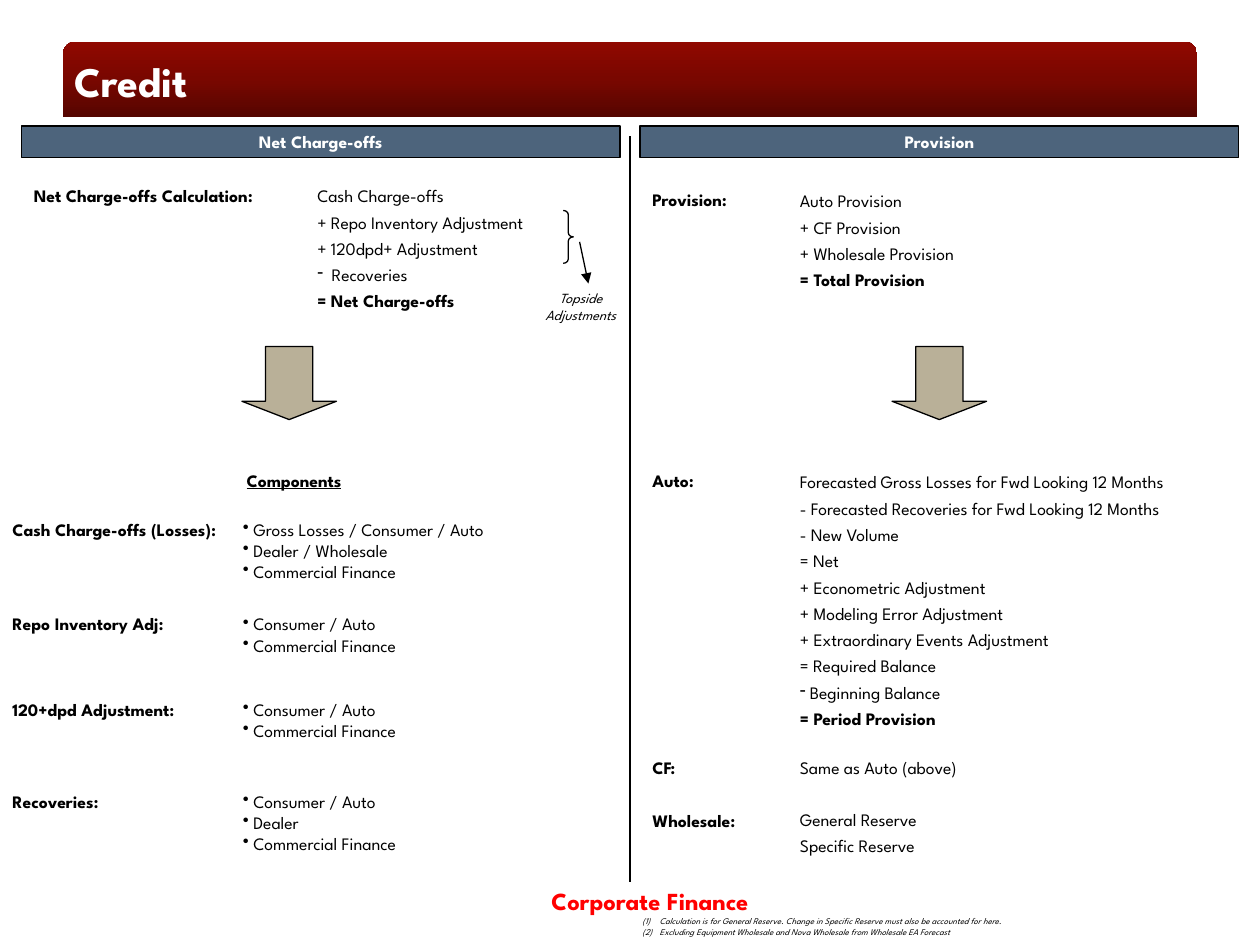
from copy import deepcopy
from dataclasses import dataclass

from lxml import etree
from pptx import Presentation
from pptx.dml.color import RGBColor
from pptx.enum import shapes, text
from pptx.oxml.ns import qn
from pptx.util import Inches, Pt


@dataclass(frozen=True)
class Theme:
    font: str = "League Spartan"
    ink: str = "000000"
    white: str = "FFFFFF"
    red: str = "FF0000"
    header: str = "4D647C"
    arrow: str = "B9B098"
    banner: tuple = ((0, "550500"), (0.5, "790700"), (1, "900800"))
    title: int = 24
    footer: int = 14
    body: int = 10
    remark: int = 8
    note: int = 5
    line: float = 0.75


LABEL = {"bold": True}
BULLET = {"bullet": "•"}
DASH = {"bullet": "-"}
LINE_SPACING = 1.25


class SlideBuilder:
    def __init__(self, slide, theme):
        self.s = slide
        self.theme = theme

    def add_lines(self, tf, lines, align=None, spacing=None, bullet=None,
                  hanging=0, color=None, **font):
        """Fill a frame; a line is a string or a (string, own formats) pair."""
        for i, line in enumerate(lines):
            words, own = line if isinstance(line, tuple) else (line, {})
            p = tf.paragraphs[0] if i == 0 else tf.add_paragraph()
            for name, value in {"alignment": align, "line_spacing": spacing}.items():
                setattr(p, name, value)
            mark = own.get("bullet", bullet)
            if mark:
                self.add_bullet(p, mark, hanging)
            r = p.add_run()
            r.text = words
            formats = {"name": self.theme.font, "size": Pt(self.theme.body), **font,
                       **{k: v for k, v in own.items() if k != "bullet"}}
            for name, value in formats.items():
                setattr(r.font, name, value)
            r.font.color.rgb = RGBColor.from_string(color or self.theme.ink)

    @staticmethod
    def add_bullet(p, mark, hanging):
        pPr = p._p.get_or_add_pPr()
        pPr.set("marL", str(Inches(hanging)))
        pPr.set("indent", str(-Inches(hanging)))
        if mark == "(1)":
            etree.SubElement(pPr, qn("a:buAutoNum"), type="arabicParenBoth")
        else:
            etree.SubElement(pPr, qn("a:buChar"), char=mark)

    def text(self, x, y, w, h, lines, wrap=False, grow=True,
             anchor=text.MSO_ANCHOR.TOP, **style):
        tf = self.s.shapes.add_textbox(*map(Inches, (x, y, w, h))).text_frame
        fit = text.MSO_AUTO_SIZE
        formats = {"word_wrap": wrap, "vertical_anchor": anchor,
                   "auto_size": fit.SHAPE_TO_FIT_TEXT if grow else fit.NONE}
        for name, value in formats.items():
            setattr(tf, name, value)
        self.add_lines(tf, lines, **style)

    def shape(self, kind, x, y, w, h, fill=None, outline=True, adjust=()):
        sp = self.s.shapes.add_shape(kind, *map(Inches, (x, y, w, h)))
        sp.shadow.inherit = False
        for i, value in enumerate(adjust):
            sp.adjustments[i] = value
        if fill:
            sp.fill.solid()
            sp.fill.fore_color.rgb = RGBColor.from_string(fill)
        else:
            sp.fill.background()
        if outline:
            self.stroke(sp)
        else:
            sp.line.fill.background()
        return sp

    def stroke(self, sp):
        sp.line.color.rgb = RGBColor.from_string(self.theme.ink)
        sp.line.width = Pt(self.theme.line)

    def banner(self, x, y, w, h):
        sp = self.shape(shapes.MSO_SHAPE.ROUND_2_SAME_RECTANGLE, x, y, w, h,
                        outline=False)
        sp.fill.gradient()
        sp.fill.gradient_angle = 90
        first = sp._element.spPr.find(".//" + qn("a:gs"))
        first.addnext(deepcopy(first))
        for stop, (position, color) in zip(sp.fill.gradient_stops, self.theme.banner):
            stop.position = position
            stop.color.rgb = RGBColor.from_string(color)

    def header(self, x, y, w, h, title):
        sp = self.shape(shapes.MSO_SHAPE.RECTANGLE, x, y, w, h, self.theme.header)
        sp.text_frame.word_wrap = False
        sp.text_frame.vertical_anchor = text.MSO_ANCHOR.MIDDLE
        self.add_lines(sp.text_frame, [title], align=text.PP_ALIGN.CENTER,
                       color=self.theme.white, bold=True)

    def line(self, x1, y1, x2, y2, arrow=False):
        c = self.s.shapes.add_connector(shapes.MSO_CONNECTOR.STRAIGHT,
                                        *map(Inches, (x1, y1, x2, y2)))
        self.stroke(c)
        spPr = c._element.spPr
        if arrow:
            etree.SubElement(spPr.find(qn("a:ln")), qn("a:tailEnd"), type="triangle")
        etree.SubElement(spPr, qn("a:effectLst"))


def main():
    prs = Presentation()
    prs.slide_width, prs.slide_height = Inches(10), Inches(7.5)
    theme = Theme()
    b = SlideBuilder(prs.slides.add_slide(prs.slide_layouts[6]), theme)
    center, middle = text.PP_ALIGN.CENTER, text.MSO_ANCHOR.MIDDLE

    # Frame of the page
    b.banner(0.5, 0.33, 9, 0.6)
    b.text(2.66, 6.95, 5, 0.4, ["Corporate Finance"], wrap=True, grow=False,
           anchor=middle, align=center, size=Pt(theme.footer), color=theme.red, bold=True)
    b.text(0.49, 0.5, 9, 0.28, ["Credit"], wrap=True, grow=False, anchor=middle,
           size=Pt(theme.title), color=theme.white, bold=True)
    b.line(5, 1.08, 5, 7)
    for x, arrow_x, title in ((0.17, 1.92, "Net Charge-offs"), (5.08, 7.08, "Provision")):
        b.header(x, 1, 4.75, 0.25, title)
        b.shape(shapes.MSO_SHAPE.DOWN_ARROW, arrow_x, 2.75, 0.75, 0.58,
                theme.arrow, adjust=(0.5, 0.25))

    # Bold labels
    for x, y, w, label in (
        (0.17, 1.42, 2.12, "Net Charge-offs Calculation:"),
        (0, 4.07, 1.98, "Cash Charge-offs (Losses):"),
        (0, 4.82, 1.52, "Repo Inventory Adj:"),
        (0, 5.5, 1.63, "120+dpd Adjustment:"),
        (0, 6.23, 0.98, "Recoveries:"),
        (5.08, 1.45, 0.83, "Provision:"),
        (5.08, 3.68, 0.56, "Auto:"),
        (5.08, 5.96, 0.41, "CF:"),
        (5.08, 6.38, 0.93, "Wholesale:"),
    ):
        b.text(x, y, w, 0.27, [label], **LABEL)
    b.text(1.86, 3.68, 1.07, 0.27, ["Components"], underline=True, **LABEL)

    # Calculations
    for x, y, w, h, lines in (
        (2.42, 1.38, 2.18, 1.14, [
            "Cash Charge-offs", "+ Repo Inventory Adjustment", "+ 120dpd+ Adjustment",
            ("  Recoveries", DASH), ("= Net Charge-offs", LABEL)]),
        (6.25, 1.42, 1.63, 0.93, [
            "Auto Provision", "+ CF Provision", "+ Wholesale Provision",
            ("= Total Provision", LABEL)]),
        (6.25, 3.65, 3.69, 2.18, [
            "Forecasted Gross Losses for Fwd Looking 12 Months",
            "- Forecasted Recoveries for Fwd Looking 12 Months",
            "- New Volume", "= Net", "+ Econometric Adjustment",
            "+ Modeling Error Adjustment", "+ Extraordinary Events Adjustment",
            "= Required Balance", (" Beginning Balance", DASH),
            ("= Period Provision", LABEL)]),
        (6.25, 5.92, 1.73, 0.31, ["Same as Auto (above)"]),
        (6.25, 6.33, 1.32, 0.52, ["General Reserve", "Specific Reserve"]),
    ):
        b.text(x, y, w, h, lines, spacing=LINE_SPACING)

    # Components of net charge-offs
    consumer, commercial = " Consumer / Auto", " Commercial Finance"
    for y, w, h, lines in (
        (4.07, 2.42, 0.6, [" Gross Losses / Consumer / Auto", " Dealer / Wholesale",
                           commercial]),
        (4.82, 1.74, 0.43, [consumer, commercial]),
        (5.5, 1.74, 0.43, [consumer, commercial]),
        (6.23, 1.74, 0.6, [consumer, " Dealer", commercial]),
    ):
        b.text(1.83, y, w, h, lines, **BULLET)

    # Topside remark and footnotes
    b.shape(shapes.MSO_SHAPE.RIGHT_BRACE, 4.47, 1.67, 0.08, 0.42, adjust=(0.42, 0.5))
    b.line(4.6, 1.92, 4.67, 2.25, arrow=True)
    b.text(4.18, 2.25, 0.86, 0.37, ["Topside", "Adjustments"], align=center,
           size=Pt(theme.remark), italic=True)
    b.text(5, 7.22, 4.92, 0.27, [
        " Calculation is for General Reserve. Change in Specific Reserve must also be"
        " accounted for here.",
        " Excluding Equipment Wholesale and Nova Wholesale from Wholesale EA Forecast",
    ], wrap=True, bullet="(1)", hanging=0.12, size=Pt(theme.note), italic=True)

    prs.save("out.pptx")


if __name__ == "__main__":
    main()
